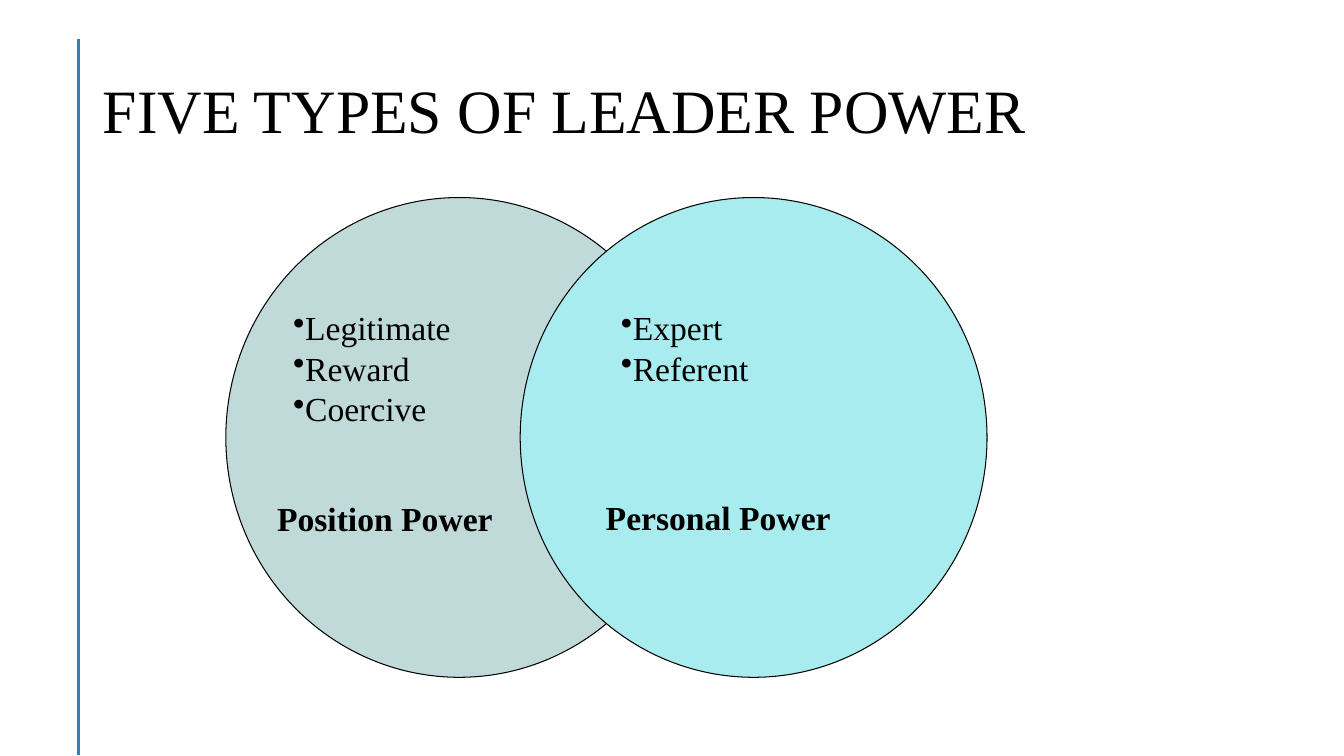
"""Build a slide of two overlapping circles showing five types of leader power."""
from lxml import etree
from pptx import Presentation
from pptx import util as u
from pptx.dml.color import RGBColor
from pptx.enum import shapes, text
from pptx.oxml.ns import qn


def paint(part, color):
    part.solid()
    part.fore_color.rgb = RGBColor.from_string(color)


def write(para, words, size, bold=False):
    run = para.add_run()
    run.text = words
    run.font.name = "Times New Roman"
    run.font.size = u.Pt(size)
    run.font.bold = bold
    paint(run.font.fill, "000000")


deck = Presentation()
deck.slide_width, deck.slide_height = u.Inches(13.33), u.Inches(7.5)
slide = deck.slides.add_slide(deck.slide_layouts[5])

rule = slide.shapes.add_connector(
    shapes.MSO_CONNECTOR.STRAIGHT,
    u.Inches(0.78), u.Inches(0.39), u.Inches(0.78), u.Inches(7.49))
paint(rule.line.fill, "2683C6")
rule.line.width = u.Pt(2)
etree.SubElement(rule._element.spPr, qn("a:effectLst"))

title = slide.shapes.title
title.left, title.top = u.Inches(0.92), u.Inches(0.4)
title.width, title.height = u.Inches(11.5), u.Inches(1.45)
title.text_frame.vertical_anchor = text.MSO_ANCHOR.MIDDLE
title.text_frame.word_wrap = True
head = title.text_frame.paragraphs[0]
head.alignment = text.PP_ALIGN.LEFT
head.line_spacing = 0.9
write(head, "FIVE TYPES OF LEADER POWER", 44)

for left, color in ((2.24, "C0DAD9"), (5.16, "A8ECEF")):
    disc = slide.shapes.add_shape(
        shapes.MSO_SHAPE.OVAL,
        u.Inches(left), u.Inches(1.96), u.Inches(4.63), u.Inches(4.76))
    disc.shadow.inherit = False
    paint(disc.fill, color)
    paint(disc.line.fill, "000000")
    disc.line.width = u.Pt(0.75)

labels = (
    (2.81, 3, 2.35, 1.31, ("Legitimate", "Reward", "Coercive"), True),
    (2.65, 4.89, 2.67, 0.5, ("Position Power",), False),
    (6.06, 3, 2.98, 0.91, ("Expert", "Referent"), True),
    (5.91, 4.88, 2.83, 0.5, ("Personal Power",), False),
)
for left, top, width, height, lines, listed in labels:
    box = slide.shapes.add_textbox(
        u.Inches(left), u.Inches(top), u.Inches(width), u.Inches(height))
    frame = box.text_frame
    frame.word_wrap = True
    frame.auto_size = text.MSO_AUTO_SIZE.SHAPE_TO_FIT_TEXT
    for i, words in enumerate(lines):
        para = frame.add_paragraph() if i else frame.paragraphs[0]
        if listed:
            props = para._p.get_or_add_pPr()
            etree.SubElement(props, qn("a:buChar"), char="•")
        write(para, words, 24, bold=not listed)

deck.save("out.pptx")
